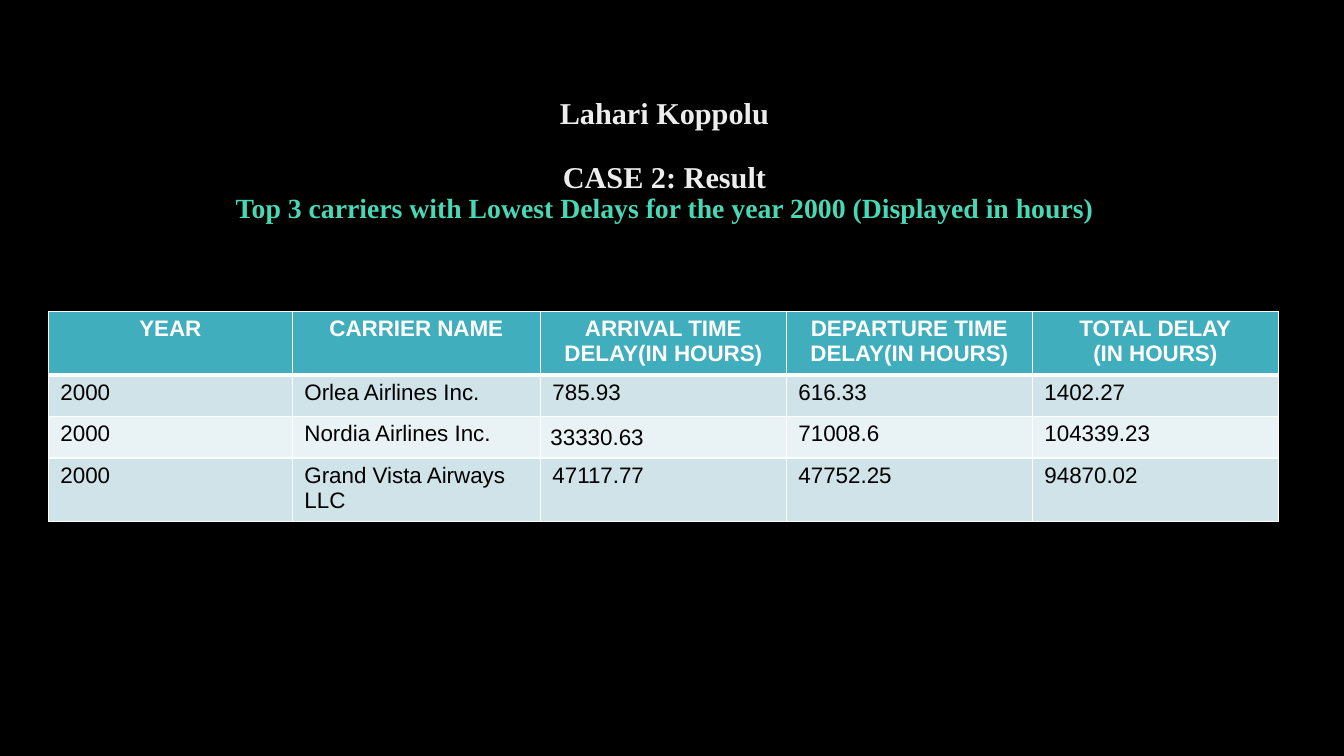
from lxml import etree
from pptx import Presentation
from pptx.dml.color import RGBColor
from pptx.enum.text import MSO_ANCHOR, PP_ALIGN
from pptx.oxml.ns import qn
from pptx.util import Inches, Pt

CENTER, LEFT = PP_ALIGN.CENTER, PP_ALIGN.LEFT
MIDDLE = MSO_ANCHOR.MIDDLE

BLACK = RGBColor(0x00, 0x00, 0x00)
WHITE = RGBColor(0xFF, 0xFF, 0xFF)
SILVER = RGBColor(0xED, 0xED, 0xED)
MINT = RGBColor(0x48, 0xD8, 0xB5)
TEAL = RGBColor(0x41, 0xAE, 0xBD)
BANDS = [RGBColor(0xE9, 0xF2, 0xF4), RGBColor(0xCF, 0xE3, 0xE8)]

TITLE = [
    ("Lahari Koppolu", 21.6, SILVER, 0),
    ("CASE 2: Result", 21.6, SILVER, 22.4),
    ("Top 3 carriers with Lowest Delays for the year 2000 (Displayed in hours)",
     19.8, MINT, 0),
]
ROWS = [
    ["YEAR", "CARRIER NAME", "ARRIVAL TIME DELAY(IN HOURS)",
     "DEPARTURE TIME DELAY(IN HOURS)", "TOTAL DELAY\v(IN HOURS)"],
    ["2000", "Orlea Airlines Inc.", "785.93", "616.33", "1402.27"],
    ["2000", "Nordia Airlines Inc.", "33330.63", "71008.6", "104339.23"],
    ["2000", "Grand Vista Airways LLC", "47117.77", "47752.25", "94870.02"],
]
WIDTHS = [2.42, 2.46, 2.44, 2.44, 2.44]
ROW_HIGH = 0.41


def style(para, face, size, color, bold, align):
    """Format a paragraph and all its runs."""
    para.alignment = align
    for run in para.runs:
        font = run.font
        font.name, font.size, font.bold = face, Pt(size), bold
        font.color.rgb = color


def add_title(slide, left, top, width, height):
    """Place the centred heading lines in the given box."""
    box = slide.shapes.add_textbox(
        Inches(left), Inches(top), Inches(width), Inches(height))
    frame = box.text_frame
    frame.word_wrap = True
    frame.vertical_anchor = MIDDLE
    frame.margin_top, frame.margin_bottom = 0, Inches(0.29)
    frame.text = "\n".join(line[0] for line in TITLE)
    for para, (_, size, color, gap) in zip(frame.paragraphs, TITLE):
        style(para, "Times New Roman", size, color, True, CENTER)
        para.line_spacing = 0.9
        para.space_before = Pt(gap)


def add_edges(cell, top, bottom):
    """Draw white cell borders with the given top and bottom weights."""
    props = cell._tc.get_or_add_tcPr()
    for side, weight in (("L", 1), ("R", 1), ("T", top), ("B", bottom)):
        line = etree.SubElement(props, qn("a:ln" + side), w=str(Pt(weight)))
        fill = etree.SubElement(line, qn("a:solidFill"))
        etree.SubElement(fill, qn("a:srgbClr"), val=str(WHITE))


def add_delays(slide, left, top):
    """Place the table of carrier delays with its corner at left, top."""
    table = slide.shapes.add_table(
        len(ROWS), len(WIDTHS), Inches(left), Inches(top),
        Inches(sum(WIDTHS)), Inches(ROW_HIGH * len(ROWS))).table
    for col, width in zip(table.columns, WIDTHS):
        col.width = Inches(width)
    for r, row in enumerate(ROWS):
        table.rows[r].height = Inches(ROW_HIGH)
        head = r == 0
        for c, text in enumerate(row):
            cell = table.cell(r, c)
            cell.text = text
            cell.margin_left = cell.margin_right = Inches(0.12)
            add_edges(cell, 3 if r == 1 else 1, 3 if head else 1)
            cell.fill.solid()
            cell.fill.fore_color.rgb = TEAL if head else BANDS[r % 2]
            style(cell.text_frame.paragraphs[0], "Arial", 16,
                  WHITE if head else BLACK, head, CENTER if head else LEFT)
    odd = table.cell(2, 2)
    odd.margin_left = odd.margin_right = Inches(0.1)
    odd.vertical_anchor = MIDDLE


def main():
    """Build and save the slide."""
    deck = Presentation()
    deck.slide_width, deck.slide_height = Inches(13.33), Inches(7.5)
    slide = deck.slides.add_slide(deck.slide_layouts[6])
    back = slide.background.fill
    back.solid()
    back.fore_color.rgb = BLACK
    add_title(slide, 0.84, 1.02, 11.5, 1.45)
    add_delays(slide, 0.48, 3.09)
    deck.save("out.pptx")


if __name__ == "__main__":
    main()
